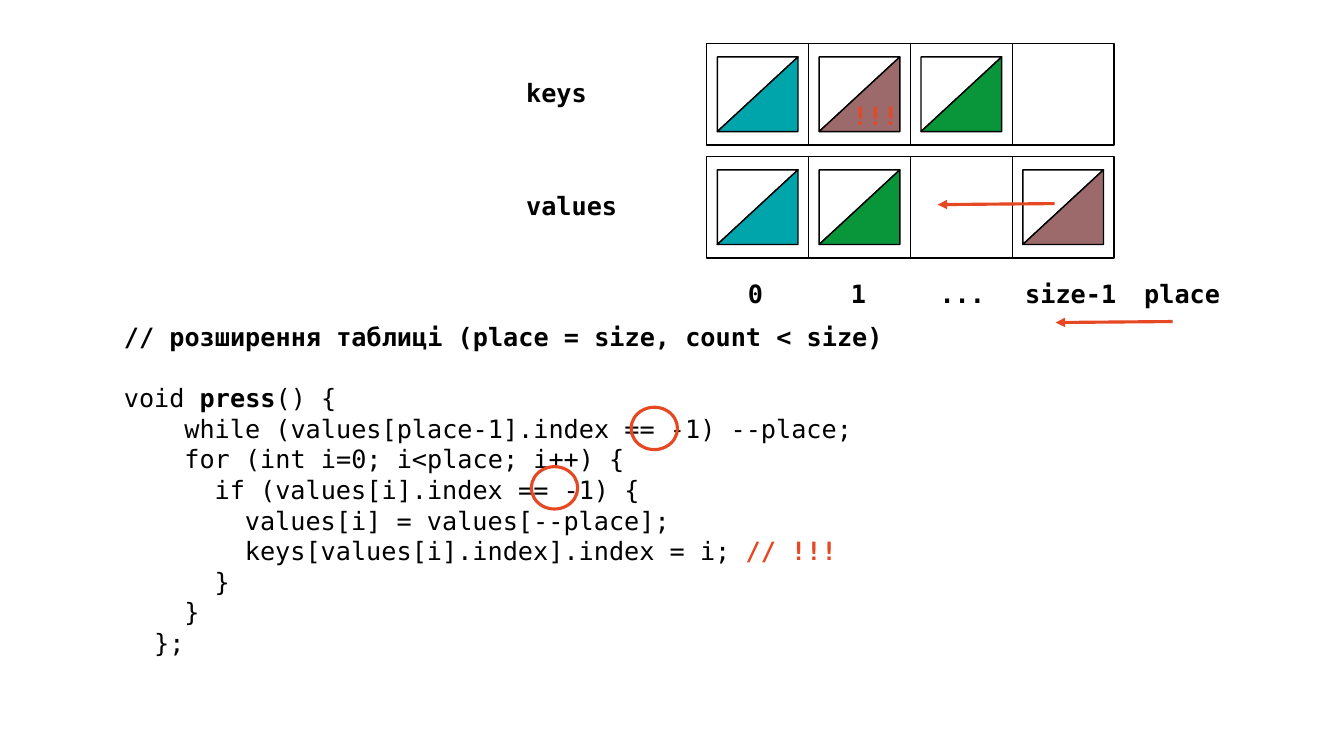
from dataclasses import dataclass

import pptx
import pptx.dml.color
import pptx.enum.shapes
import pptx.enum.text
import pptx.oxml.ns
import pptx.util
from lxml import etree

Inches = pptx.util.Inches
Pt = pptx.util.Pt
Shapes = pptx.enum.shapes.MSO_SHAPE


def rgb(code):
    return pptx.dml.color.RGBColor.from_string(code)


@dataclass(frozen=True)
class Theme:
    font: str = "DejaVu Sans Mono"
    size: float = 18
    ink: str = "000000"
    paper: str = "FFFFFF"
    accent: str = "E64823"
    teal: str = "00A5AB"
    green: str = "09963B"
    brown: str = "9C6A6A"
    thin: float = 1
    thick: float = 2.25
    char_width: float = 0.15
    line_height: float = 21.8


THEME = Theme()
CELL = 1.01

CODE = [  # indent in characters, then (text, bold, colour) runs
    (0, [("// розширення таблиці (place = size, count < size)", True, THEME.ink)]),
    (0, [("void ", False, THEME.ink), ("press", True, THEME.ink),
         ("() {", False, THEME.ink)]),
    (4, [("while (values[place-1].index == -1) --place;", False, THEME.ink)]),
    (4, [("for (int i=0; i<place; i++) {", False, THEME.ink)]),
    (6, [("if (values[i].index == -1) {", False, THEME.ink)]),
    (8, [("values[i] = values[--place];", False, THEME.ink)]),
    (8, [("keys[values[i].index].index = i; ", False, THEME.ink),
         ("// !!!", True, THEME.accent)]),
    (6, [("}", False, THEME.ink)]),
    (4, [("}", False, THEME.ink)]),
    (2, [("};", False, THEME.ink)]),
]


def add_shape(slide, kind, left, top, width, height, fill, line, weight):
    """Draw a preset shape; a fill of None leaves it hollow."""
    shape = slide.shapes.add_shape(
        kind, Inches(left), Inches(top), Inches(width), Inches(height))
    shape.shadow.inherit = False
    if fill:
        shape.fill.solid()
        shape.fill.fore_color.rgb = rgb(fill)
    else:
        shape.fill.background()
    shape.line.color.rgb = rgb(line)
    shape.line.width = Pt(weight)
    return shape


def add_text_frame(slide, left, top, width, height):
    frame = slide.shapes.add_textbox(
        Inches(left), Inches(top), Inches(width), Inches(height)).text_frame
    frame.word_wrap = True
    return frame


def style_paragraph(paragraph):
    paragraph.font.name = THEME.font
    paragraph.font.size = Pt(THEME.size)
    paragraph.line_spacing = Pt(THEME.line_height)


def add_label(slide, text, left, top, width, color=THEME.ink):
    paragraph = add_text_frame(slide, left, top, width, 0.4).paragraphs[0]
    paragraph.text = text
    style_paragraph(paragraph)
    paragraph.font.bold = True
    paragraph.font.color.rgb = rgb(color)


def add_code(slide, left, top, width, height):
    frame = add_text_frame(slide, left, top, width, height)
    for number, (indent, runs) in enumerate(CODE):
        paragraph = frame.add_paragraph() if number else frame.paragraphs[0]
        style_paragraph(paragraph)
        if number == 1:
            paragraph.space_before = Pt(THEME.line_height)
        margin = Inches(indent * THEME.char_width)
        paragraph._p.get_or_add_pPr().set("marL", str(margin))
        for text, bold, color in runs:
            run = paragraph.add_run()
            run.text = text
            run.font.bold = bold
            run.font.color.rgb = rgb(color)


def add_entry(slide, left, top, color):
    """Split a cell's inner box diagonally: white above, coloured below."""
    width, height = 0.74, 0.8
    for rotation, fill in ((90, THEME.paper), (270, color)):
        half = add_shape(slide, Shapes.RIGHT_TRIANGLE,
                         left + (CELL - width) / 2, top + (CELL - height) / 2,
                         width, height, fill, THEME.ink, THEME.thin)
        half.rotation = rotation


def add_array(slide, name, left, top, entries):
    """Draw a named row of cells; an entry of None is an empty cell."""
    add_label(slide, name, left - 1.89, top + 0.29, 1.8)
    for column, color in enumerate(entries):
        cell_left = left + column * CELL
        add_shape(slide, Shapes.RECTANGLE, cell_left, top, CELL, CELL,
                  THEME.paper, THEME.ink, THEME.thin)
        if color:
            add_entry(slide, cell_left, top, color)


def add_column_labels(slide, left, top):
    for text, offset, width in (("0", 0.31, 0.42), ("1", 1.33, 0.42),
                                ("...", 2.21, 0.7), ("size-1", 3.06, 1.3),
                                ("place", 4.24, 1.3)):
        add_label(slide, text, left + offset, top, width)


def add_left_arrow(slide, left, top):
    arrow = slide.shapes.add_connector(
        pptx.enum.shapes.MSO_CONNECTOR.STRAIGHT,
        Inches(left + 1.16), Inches(top), Inches(left), Inches(top + 0.01))
    arrow.line.color.rgb = rgb(THEME.accent)
    arrow.line.width = Pt(THEME.thick)
    qn = pptx.oxml.ns.qn
    etree.SubElement(arrow.line._get_or_add_ln(), qn("a:tailEnd"), type="triangle")
    etree.SubElement(arrow._element.spPr, qn("a:effectLst"))


def add_tables(slide, left, top):
    add_array(slide, "values", left, top + 1.12,
              [THEME.teal, THEME.green, None, THEME.brown])
    add_array(slide, "keys", left, top,
              [THEME.teal, THEME.brown, THEME.green, None])
    add_column_labels(slide, left, top + 2.28)
    add_left_arrow(slide, left + 2.29, top + 1.59)
    add_left_arrow(slide, left + 3.46, top + 2.76)
    add_label(slide, "!!!", left + 1.35, top + 0.51, 0.8, THEME.accent)


def add_press_code(slide, left, top):
    add_code(slide, left, top, 7.78, 3.43)
    for across, down in ((5.13, 0.9), (4.14, 1.49)):
        add_shape(slide, Shapes.OVAL, left + across, top + down, 0.46, 0.42,
                  None, THEME.accent, THEME.thick)


def main():
    deck = pptx.Presentation()
    deck.slide_width, deck.slide_height = Inches(13.33), Inches(7.5)
    slide = deck.slides.add_slide(deck.slide_layouts[6])
    add_press_code(slide, 1.13, 3.14)
    add_tables(slide, 7.01, 0.43)
    deck.save("out.pptx")


if __name__ == "__main__":
    main()
